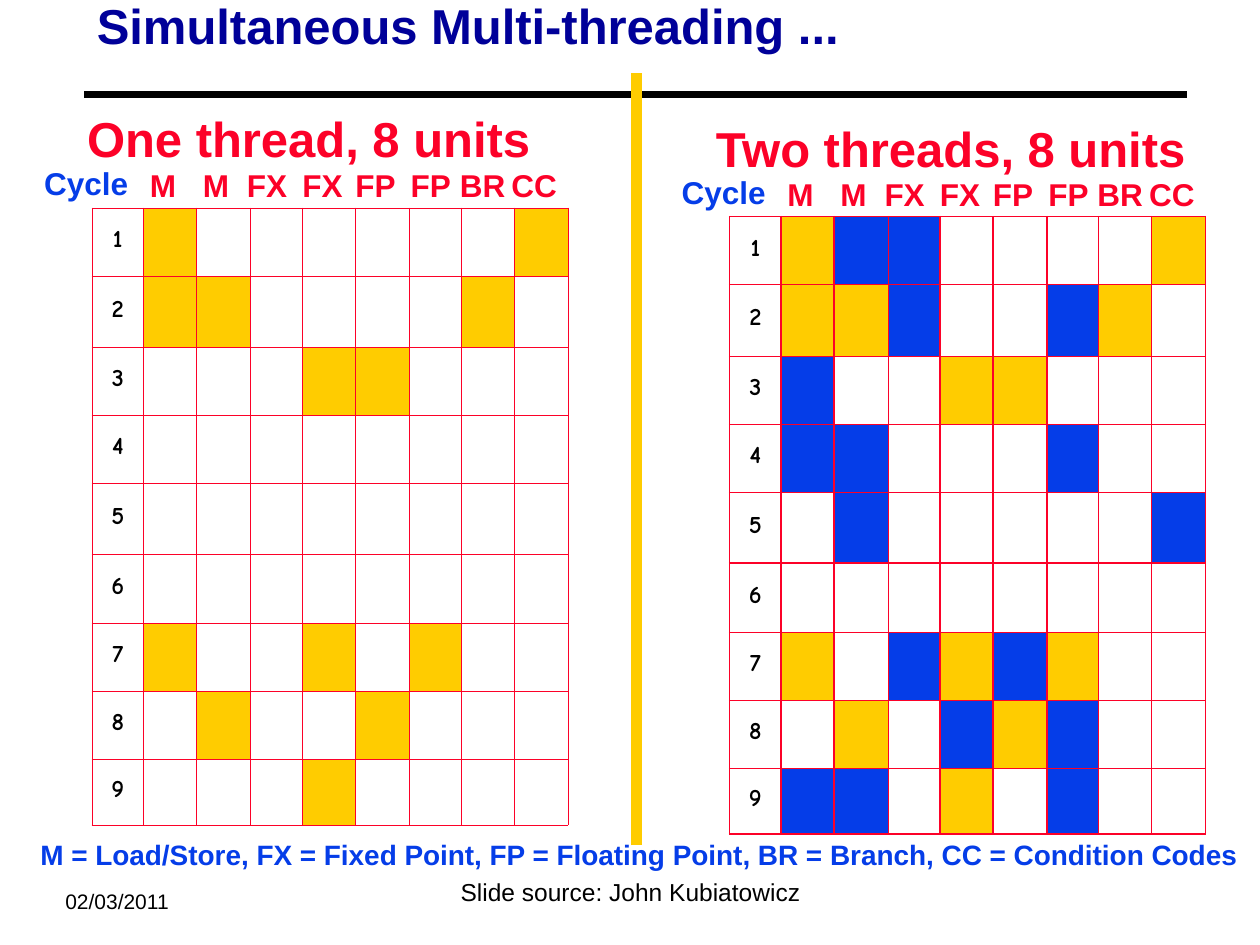
from dataclasses import dataclass

from lxml.etree import SubElement as Sub
from pptx import Presentation as Deck
from pptx.dml.color import RGBColor as Rgb
from pptx.enum.shapes import MSO_CONNECTOR as Link
from pptx.enum.text import MSO_ANCHOR as Anchor, MSO_AUTO_SIZE as Auto, PP_ALIGN as Align
from pptx.oxml.ns import qn
from pptx.util import Inches, Pt


@dataclass(frozen=True)
class Theme:
    sans: str = "Arial"
    hand: str = "Comic Neue"
    black: str = "000000"
    navy: str = "000099"
    red: str = "FC0128"
    blue: str = "053DE8"
    gold: str = "FFCC00"
    big: int = 28
    head: int = 18
    key: int = 16
    note: int = 14
    date: int = 12


HEADS = [("M", 0.46, 0.34), ("M", 0.88, 0.34), ("FX", 1.23, 0.45), ("FX", 1.67, 0.48),
         ("FP", 2.09, 0.48), ("FP", 2.53, 0.48), ("BR", 2.92, 0.54), ("CC", 3.33, 0.5)]
COLS = [0.41, 0.42, 0.43] * 3
ROWS = [0.54, 0.57, 0.54, 0.54, 0.56, 0.55, 0.54, 0.54, 0.52]
ONE = ["G......G", "GG....G.", "...GG...", "........", "........",
       "........", "G..G.G..", ".G..G...", "...G...."]
TWO = ["GBB....G", "GGB..BG.", "B..GG...", "BB...B..", ".B.....B",
       "........", "G.BGBG..", ".G.BGB..", "BB.G.B.."]


class Page:
    def __init__(self, slide, theme):
        self.slide = slide
        self.theme = theme

    def style(self, para, text, size, color, face=None, bold=True, **fmt):
        para.text = text
        for name, val in fmt.items():
            setattr(para, name, val)
        font = para.runs[0].font
        look = {"size": Pt(size), "name": face or self.theme.sans, "bold": bold}
        for name, val in look.items():
            setattr(font, name, val)
        font.color.rgb = Rgb.from_string(color)

    def text(self, box, text, size, color, pad=(0, 0, 0, 0), wrap=True,
             fit=Auto.SHAPE_TO_FIT_TEXT, anchor=Anchor.TOP, **fmt):
        frame = self.slide.shapes.add_textbox(*map(Inches, box)).text_frame
        sides = ("margin_left", "margin_top", "margin_right", "margin_bottom")
        look = dict(zip(sides, map(Inches, pad)))
        look |= {"word_wrap": wrap, "auto_size": fit, "vertical_anchor": anchor}
        for name, val in look.items():
            setattr(frame, name, val)
        self.style(frame.paragraphs[0], text, size, color, **fmt)

    def line(self, ends, color, width):
        rule = self.slide.shapes.add_connector(Link.STRAIGHT, *map(Inches, ends))
        rule.line.color.rgb = Rgb.from_string(color)
        rule.line.width = Pt(width)
        Sub(rule._element.spPr, qn("a:effectLst"))

    def edge(self, cell, width):
        props = cell._tc.get_or_add_tcPr()
        for side in ("lnL", "lnR", "lnT", "lnB"):
            rim = Sub(props, qn(f"a:{side}"), w=str(Pt(width)))
            Sub(Sub(rim, qn("a:solidFill")), qn("a:srgbClr"), val=self.theme.red)

    def grid(self, x, y, marks, width):
        look = self.theme
        size = (sum(COLS), sum(ROWS))
        shape = self.slide.shapes.add_table(len(ROWS), len(COLS), *map(Inches, (x, y, *size)))
        table = shape.table
        for name in ("first_row", "horz_banding"):
            setattr(table, name, False)
        for col, wide in zip(table.columns, COLS):
            col.width = Inches(wide)
        fills = {"G": look.gold, "B": look.blue}
        for num, (row, high, codes) in enumerate(zip(table.rows, ROWS, marks), 1):
            row.height = Inches(high)
            for cell, code in zip(row.cells, "." + codes):
                self.edge(cell, width)
                if code in fills:
                    cell.fill.solid()
                    cell.fill.fore_color.rgb = Rgb.from_string(fills[code])
                else:
                    cell.fill.background()
            first = row.cells[0]
            first.vertical_anchor = Anchor.MIDDLE
            self.style(first.text_frame.paragraphs[0], str(num), look.note, look.black,
                       look.hand, alignment=Align.CENTER, line_spacing=Pt(13))

    def panel(self, x, y, title, box, marks, width):
        look = self.theme
        self.grid(x, y, marks, width)
        for head, left, wide in HEADS:
            self.text((x + left, y - 0.33, wide, 0.3), head, look.head, look.red)
        self.text((x - 0.38, y - 0.35, 0.92, 0.3), "Cycle", look.head, look.blue)
        self.text(box, title, look.big, look.red,
                  alignment=Align.CENTER, line_spacing=Pt(30.6))


def main():
    deck = Deck()
    deck.slide_width, deck.slide_height = Inches(10), Inches(7.5)
    look = Theme()
    page = Page(deck.slides.add_slide(deck.slide_layouts[6]), look)
    pad = (0.1, 0.05, 0.1, 0.05)

    page.line((0.67, 0.75, 9.42, 0.75), look.black, 3.75)
    page.text((0.42, 7, 1.92, 0.3), "02/03/2011", look.date, look.black, pad, bold=False)
    page.text((0.67, 0, 7.98, 0.81), "Simultaneous Multi-threading ...", look.big, look.navy,
              (0.1, 0.03, 0.07, 0.03), fit=Auto.NONE, line_spacing=0.87)
    page.panel(0.73, 1.65, "One thread, 8 units", (0.25, 0.9, 4.4, 0.43), ONE, 0.45)
    page.text((0.32, 6.65, 9.68, 0.27),
              "M = Load/Store, FX = Fixed Point, FP = Floating Point, "
              "BR = Branch, CC = Condition Codes", look.key, look.blue)
    page.panel(5.79, 1.72, "Two threads, 8 units", (5.25, 0.98, 4.59, 0.43), TWO, 0.96)
    page.line((5.05, 6.71, 5.05, 0.58), look.gold, 6)
    page.text((3.42, 6.83, 3.17, 0.5), "Slide source: John Kubiatowicz", look.note, look.black,
              pad, wrap=False, fit=Auto.NONE, anchor=Anchor.MIDDLE, bold=False,
              alignment=Align.CENTER)
    deck.save("out.pptx")


if __name__ == "__main__":
    main()
